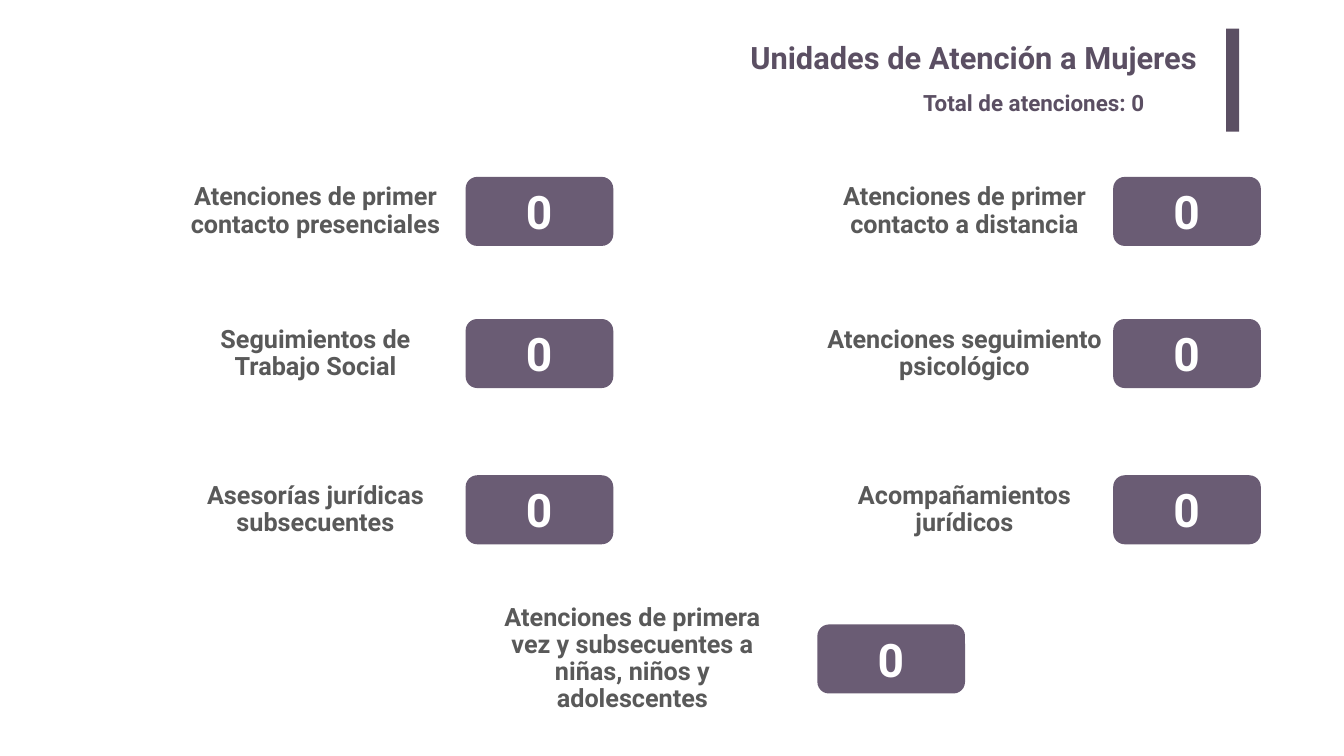
from pptx import Presentation
from pptx import util as u
from pptx.dml.color import RGBColor
from pptx.enum import shapes, text

FONT = "Roboto"
HUES = {"title": "5B4F63", "label": "595959", "pill": "6A5C74", "count": "FFFFFF"}

deck = Presentation()
deck.slide_width, deck.slide_height = u.Inches(26.67), u.Inches(15)
slide = deck.slides.add_slide(deck.slide_layouts[5])


def write(box, words, size, hue, align, anchor=text.MSO_ANCHOR.TOP, space=None):
    frame = box.text_frame
    frame.text = words
    frame.word_wrap = True
    frame.auto_size = text.MSO_AUTO_SIZE.NONE
    frame.vertical_anchor = anchor
    para = frame.paragraphs[0]
    para.alignment = align
    para.line_spacing = space
    font = para.runs[0].font
    font.name, font.size, font.bold = FONT, u.Pt(size), True
    font.color.rgb = RGBColor.from_string(HUES[hue])


def block(kind, hue, *place):
    shape = slide.shapes.add_shape(kind, *map(u.Inches, place))
    shape.shadow.inherit = False
    shape.fill.solid()
    shape.fill.fore_color.rgb = RGBColor.from_string(HUES[hue])
    shape.line.fill.background()
    return shape


# Heading with its side bar
title = slide.shapes.title
title.left, title.top = u.Inches(3.66), u.Inches(0.67)
title.width, title.height = u.Inches(20.3), u.Inches(1.02)
write(title, "Unidades de Atención a Mujeres", 44, "title", text.PP_ALIGN.RIGHT)
frame = title.text_frame
frame.margin_left = frame.margin_right = u.Inches(0.2)
frame.margin_top = frame.margin_bottom = u.Inches(0.1)

block(shapes.MSO_SHAPE.RECTANGLE, "title", 24.33, 0.57, 0.26, 2.04)

total = slide.shapes.add_textbox(*map(u.Inches, (18.22, 1.71, 5.92, 0.64)))
write(total, "Total de atenciones: 0", 32, "title", text.PP_ALIGN.LEFT)

# Counters: label, label centre and width, pill left, row top
WIDE, HIGH = 2.93, 1.37
LEFT, RIGHT, LAST = 9.24, 22.09, 16.22
ROWS = 3.51, 6.33, 9.43, 12.39
items = [
    ("Atenciones de primer contacto presenciales", 6.26, 5.48, LEFT, ROWS[0]),
    ("Atenciones de primer contacto a distancia", 19.14, 5.16, RIGHT, ROWS[0]),
    ("Seguimientos de Trabajo Social", 6.26, 5.58, LEFT, ROWS[1]),
    ("Atenciones seguimiento psicológico", 19.14, 7.81, RIGHT, ROWS[1]),
    ("Asesorías jurídicas subsecuentes", 6.26, 6.05, LEFT, ROWS[2]),
    ("Acompañamientos jurídicos", 19.14, 6.46, RIGHT, ROWS[2]),
    ("Atenciones de primera vez y subsecuentes a niñas, niños y adolescentes",
     12.55, 6, LAST, ROWS[3]),
]
for words, mid, span, left, top in items:
    label = slide.shapes.add_textbox(
        *map(u.Inches, (mid - span / 2, top, span, HIGH)))
    write(label, words, 36, "label", text.PP_ALIGN.CENTER,
          text.MSO_ANCHOR.MIDDLE, 0.9)

    pill = block(shapes.MSO_SHAPE.ROUNDED_RECTANGLE, "pill", left, top, WIDE, HIGH)
    pill.adjustments[0] = 0.167

    count = slide.shapes.add_textbox(
        *map(u.Inches, (left + 0.44, top + 0.08, 2.04, 1.21)))
    write(count, "0", 66, "count", text.PP_ALIGN.CENTER)

deck.save("out.pptx")
